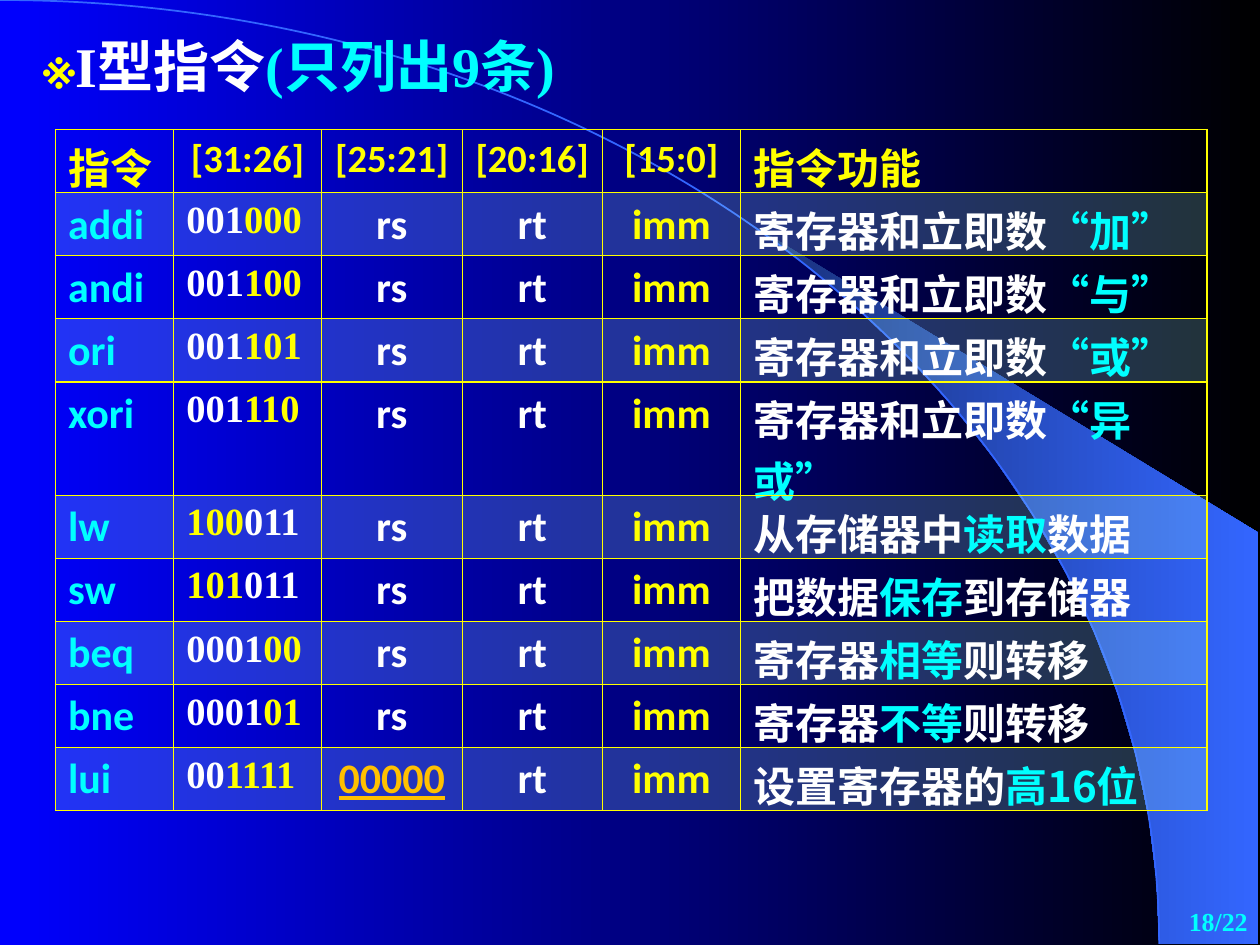
from math import asin, cos, pi, sin

from lxml.etree import SubElement
from pptx import Presentation
from pptx.dml.color import RGBColor
from pptx.enum.text import PP_ALIGN
from pptx.oxml import parse_xml
from pptx.oxml.ns import nsdecls, qn
from pptx.util import Inches, Pt

COLORS = {
    "blue": "0000FF", "black": "000000", "navy": "182F76", "sky": "3366FF",
    "yellow": "FFFF00", "cyan": "00FFFF", "white": "FFFFFF",
    "orange": "FFC000", "band": "AAFFFF",
}
SERIF, SANS, CHINESE = "Times New Roman", "Calibri", "Noto Sans CJK SC"

COLUMN_WIDTHS = [0.94, 1.17, 1.12, 1.11, 1.1, 3.7]
HEADER = ["指令", "[31:26]", "[25:21]", "[20:16]", "[15:0]", "指令功能"]
# Name, opcode spans, function spans
INSTRUCTIONS = [
    ("addi", [("001", "white"), ("000", "yellow")],
     [("寄存器和立即数", "white"), ("“加”", "cyan")]),
    ("andi", [("001", "white"), ("100", "yellow")],
     [("寄存器和立即数", "white"), ("“与”", "cyan")]),
    ("ori", [("001", "white"), ("101", "yellow")],
     [("寄存器和立即数", "white"), ("“或”", "cyan")]),
    ("xori", [("001", "white"), ("110", "yellow")],
     [("寄存器和立即数", "white"), ("“异或”", "cyan")]),
    ("lw", [("100", "yellow"), ("011", "white")],
     [("从存储器中", "white"), ("读取", "cyan"), ("数据", "white")]),
    ("sw", [("101", "yellow"), ("011", "white")],
     [("把数据", "white"), ("保存", "cyan"), ("到存储器", "white")]),
    ("beq", [("0001", "white"), ("00", "yellow")],
     [("寄存器", "white"), ("相等", "cyan"), ("则转移", "white")]),
    ("bne", [("0001", "white"), ("01", "yellow")],
     [("寄存器", "white"), ("不等", "cyan"), ("则转移", "white")]),
    ("lui", [("00", "white"), ("1111", "yellow")],
     [("设置寄存器的", "white"), ("高16位", "cyan")]),
]


def rgb(name):
    return RGBColor.from_string(COLORS[name])


def set_gradient(fill, start, end):
    fill.gradient()
    fill.gradient_angle = 0
    for stop, position, name in zip(fill.gradient_stops, (0, 1), (start, end)):
        stop.position = position
        stop.color.rgb = rgb(name)


def write(frame, spans, font, size, align=PP_ALIGN.LEFT):
    """Fill the first paragraph with bold (text, colour) spans."""
    para = frame.paragraphs[0]
    para.alignment = align
    para.font.name = font
    para.font.size = Pt(size)
    para.font.bold = True
    SubElement(para.font._element, qn("a:ea"), typeface=CHINESE)
    for text, color in spans:
        span = para.add_run()
        span.text = text
        span.font.color.rgb = rgb(color)
    return para


def add_text(page, left, top, width, height, spans, size, align=PP_ALIGN.LEFT):
    box = page.shapes.add_textbox(left, top, width, height)
    box.text_frame.word_wrap = True
    write(box.text_frame, spans, SERIF, size, align)


def add_outline(page, points, close):
    builder = page.shapes.build_freeform(*points[0])
    builder.add_line_segments(points[1:], close=close)
    outline = builder.convert_to_shape()
    outline.shadow.inherit = False
    return outline


def bend(outline, controls):
    """Turn the single straight segment of an outline into a Bézier curve."""
    segment = next(outline._element.iter(qn("a:lnTo")))
    segment.tag = qn("a:cubicBezTo")
    for index, (x, y) in enumerate(controls):
        segment.insert(index, parse_xml(
            f'<a:pt {nsdecls("a")} x="{x}" y="{y}"/>'))


def add_backdrop(page, width, height):
    """Draw a quarter ellipse and the beam that lies outside it."""
    set_gradient(page.background.fill, "blue", "black")
    radius_x, radius_y = Inches(9.2), Inches(7.49)

    steps = 13
    start = asin(5.89 / 9.2)
    angles = [start + (pi / 2 - start) * step / steps
              for step in range(steps + 1)]
    edge = [(round(radius_x * sin(angle)), round(radius_y * (1 - cos(angle))))
            for angle in angles]
    corners = [(Inches(9.99), radius_y), (Inches(9.99), Inches(4.23))]
    beam = add_outline(page, edge + corners, True)
    set_gradient(beam.fill, "navy", "sky")
    beam.line.fill.background()

    curve = add_outline(page, [(0, 0), (radius_x, radius_y)], False)
    bend(curve, [(Inches(5.08), 0), (radius_x, Inches(3.35))])
    curve.fill.background()
    curve.line.color.rgb = rgb("sky")
    curve.line.width = Pt(1)


def style_cell(cell, banded):
    if banded:
        cell.fill.solid()
        cell.fill.fore_color.rgb = rgb("band")
        color = cell.fill._xPr.find(".//" + qn("a:srgbClr"))
        SubElement(color, qn("a:alpha"), val="20000")
    else:
        cell.fill.background()
    properties = cell._tc.get_or_add_tcPr()
    for index, side in enumerate("LRTB"):
        properties.insert(index, parse_xml(
            f'<a:ln{side} {nsdecls("a")} w="{Pt(0.75)}"><a:solidFill>'
            f'<a:srgbClr val="{COLORS["yellow"]}"/></a:solidFill></a:ln{side}>'))


def add_instruction_table(page, left, top, width, row_height):
    rows = len(INSTRUCTIONS) + 1
    table = page.shapes.add_table(rows, len(COLUMN_WIDTHS), left, top, width,
                                  row_height * rows).table
    table.first_row = table.horz_banding = False
    for column, column_width in zip(table.columns, COLUMN_WIDTHS):
        column.width = Inches(column_width)
    for row in table.rows:
        row.height = row_height
    table.rows[4].height = Inches(0.9)

    center = PP_ALIGN.CENTER
    last = len(HEADER) - 1
    for index, title in enumerate(HEADER):
        style = (CHINESE, 24) if index in (0, last) else (SANS, 22, center)
        write(table.cell(0, index).text_frame, [(title, "yellow")], *style)
        style_cell(table.cell(0, index), False)

    for number, (name, opcode, function) in enumerate(INSTRUCTIONS, 1):
        source = ("00000", "orange") if name == "lui" else ("rs", "white")
        contents = [
            ([(name, "cyan")], SANS, 24),
            (opcode, SERIF, 22),
            ([source], SANS, 24, center),
            ([("rt", "white")], SANS, 24, center),
            ([("imm", "yellow")], SANS, 24, center),
            (function, CHINESE, 24),
        ]
        for index, content in enumerate(contents):
            cell = table.cell(number, index)
            para = write(cell.text_frame, *content)
            if content[0] == [("00000", "orange")]:
                para.font.underline = True
            style_cell(cell, number % 2 == 1)


def main():
    deck = Presentation()
    deck.slide_width, deck.slide_height = Inches(10), Inches(7.5)
    page = deck.slides.add_slide(deck.slide_layouts[6])
    add_backdrop(page, deck.slide_width, deck.slide_height)
    add_text(page, Inches(7.92), Inches(7.14), Inches(2.08), Inches(0.36),
             [("18/22", "cyan")], 14.8, PP_ALIGN.RIGHT)
    add_text(page, Inches(0.25), Inches(0.2), Inches(4.98), Inches(1.17),
             [("※", "yellow"), ("I型指令", "white"), ("(只列出9条)", "cyan")], 32)
    add_instruction_table(page, Inches(0.44), Inches(1.03), Inches(9.14),
                          Inches(0.5))
    deck.save("out.pptx")


if __name__ == "__main__":
    main()
